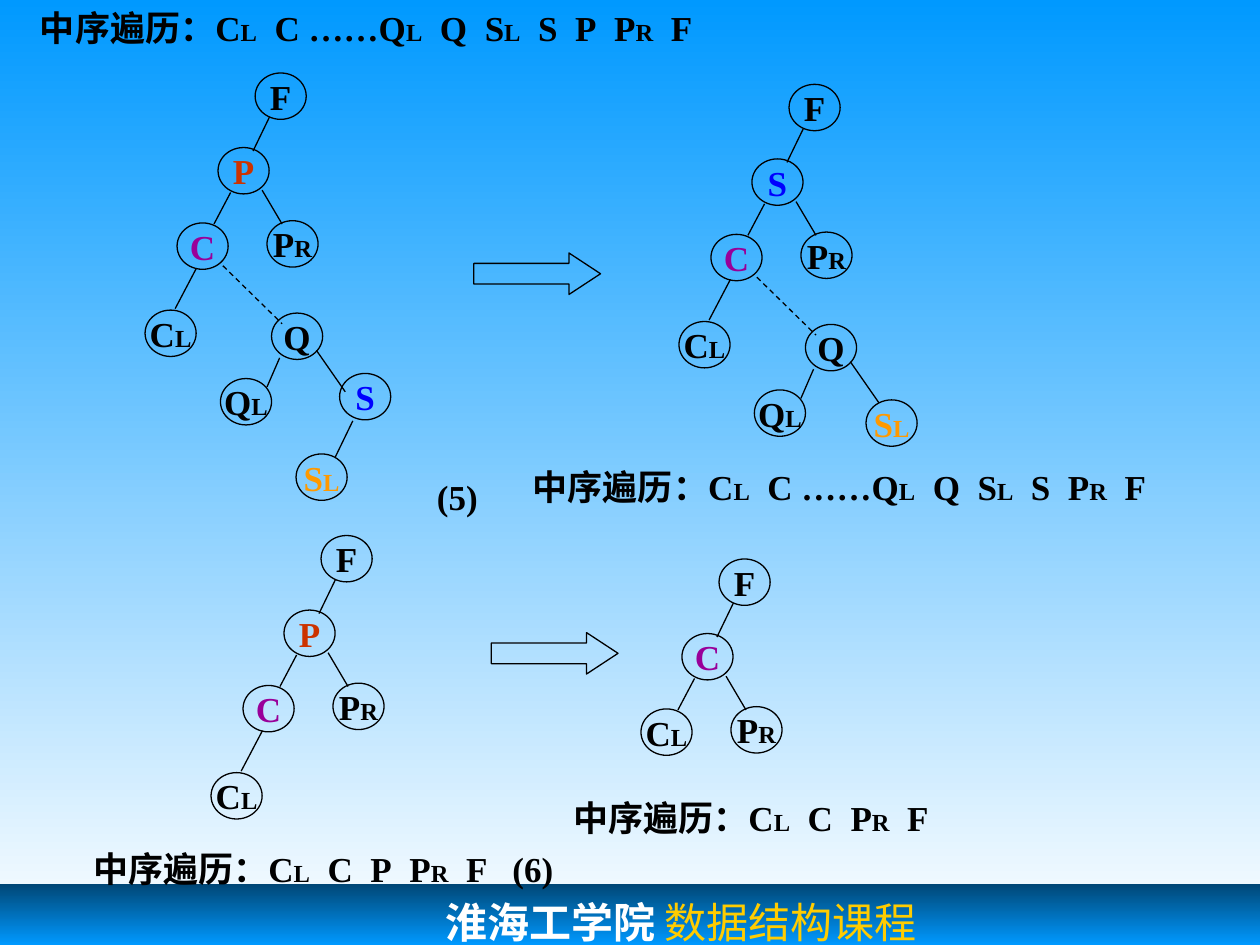
from copy import deepcopy
from pptx import Presentation
from pptx.dml.color import RGBColor as RGB
from pptx.enum.dml import MSO_LINE as Dash
from pptx.enum.shapes import MSO_CONNECTOR as Link, MSO_SHAPE as Kind
from pptx.enum.text import MSO_ANCHOR as Anchor, MSO_AUTO_SIZE as Auto, PP_ALIGN as Align
from pptx.oxml import parse_xml
from pptx.oxml.ns import nsdecls, qn
from pptx.util import Pt

THEME = {
    "font": "Times New Roman", "mono": "DejaVu Sans Mono",
    "big": 20, "small": 14, "foot": 24, "line": 0.75, "gap": 5,
    "ink": "000000", "sky": "0099FF", "deep": "004776",
    "white": "FFFFFF", "gold": "FFCC00",
}
TINTS = {"P": "CC3300", "C": "990099", "S": "0000FF", "SL": "FF9900"}

# Node places and edge ends, measured from the top left of each root
NODE = (29.2, 26.5)
SLOTS = {
    "root": (0, 0), "mid": (-21.2, 42.6), "left": (-44.6, 85.7),
    "right": (6.8, 84.4), "leaf": (-62.9, 135.5), "low": (9.4, 137.2),
    "kid": (-19.8, 174.6), "far": (48.3, 171.7), "tip": (23.4, 217.7),
    "end": (44, 180.3),
}
EDGES = {
    ("root", "mid"): (8.2, 25.2, -1.2, 44.6),
    ("mid", "left"): (-14, 68.3, -23.5, 86.3),
    ("left", "leaf"): (-33.5, 111.5, -45.7, 134.7),
    ("mid", "right"): (4, 67, 15.4, 86.3),
    ("low", "kid"): (14, 162.8, 6.8, 179.4),
    ("low", "far"): (35, 158.5, 51.5, 182.2),
    ("low", "end"): (35, 158.5, 51.5, 182.2),
    ("far", "tip"): (55.8, 198.8, 45.7, 219.7),
    ("left", "low"): (-18.4, 110.2, 15.4, 143.3),
}
BROKEN = ("left", "low")

TREES = [
    ((145.8, 41.7), {"root": "F", "mid": "P", "left": "C", "right": "PR",
                     "leaf": "CL", "low": "Q", "kid": "QL", "far": "S",
                     "tip": "SL"}),
    ((450.9, 48.2), {"root": "F", "mid": "S", "left": "C", "right": "PR",
                     "leaf": "CL", "low": "Q", "kid": "QL", "end": "SL"}),
    ((183.5, 306), {"root": "F", "mid": "P", "left": "C", "right": "PR",
                    "leaf": "CL"}),
    ((410.9, 319.4), {"root": "F", "mid": "C", "left": "CL", "right": "PR"}),
]

# Traversal orders: left, top, width, keys
HEAD = "中序遍历："
ORDERS = [
    (15.8, 0, 391.7, ["CL", "C ……QL", "Q", "SL", "S", "P", "PR", "F"]),
    (297.4, 262.1, 369.4, ["CL", "C ……QL", "Q", "SL", "S", "PR", "F"]),
    (46.1, 480.2, 244.8, ["CL", "C", "P", "PR", "F"]),
    (320.4, 451.4, 222.5, ["CL", "C", "PR", "F"]),
]
CASES = [("(5)", 241.3, 267.8), ("(6)", 284.5, 480.2)]
ARROWS = [(270.8, 144.6), (280.8, 361.5)]
FOOT = [("淮海工学院", "white", "mono", True),
        (" 数据结构课程", "gold", "font", False)]


def add_run(para, text, size, color, font=THEME["font"], bold=True):
    run = para.add_run()
    run.text = text
    run.font.size, run.font.name, run.font.bold = Pt(size), font, bold
    run.font.color.rgb = RGB.from_string(color)
    return run


def add_key(para, key, color):
    """Write a key; a trailing L or R becomes a small mark."""
    cut = len(key) - 1 if len(key) > 1 and key[-1] in "LR" else len(key)
    add_run(para, key[:cut], THEME["big"], color)
    if key[cut:]:
        add_run(para, key[cut:], THEME["small"], color)


def add_form(slide, kind, *box):
    form = slide.shapes.add_shape(kind, *map(Pt, box))
    form.shadow.inherit = False
    form.fill.background()
    form.line.color.rgb = RGB.from_string(THEME["ink"])
    form.line.width = Pt(THEME["line"])
    return form


def add_node(slide, x, y, key):
    frame = add_form(slide, Kind.OVAL, x, y, *NODE).text_frame
    frame.word_wrap, frame.vertical_anchor = False, Anchor.MIDDLE
    para = frame.paragraphs[0]
    para.alignment = Align.CENTER
    add_key(para, key, TINTS.get(key, THEME["ink"]))


def add_edge(slide, x, y, ends, broken):
    x1, y1, x2, y2 = ends
    edge = slide.shapes.add_connector(
        Link.STRAIGHT, Pt(x + x1), Pt(y + y1), Pt(x + x2), Pt(y + y2))
    edge.line.color.rgb = RGB.from_string(THEME["ink"])
    edge.line.width = Pt(THEME["line"])
    if broken:
        edge.line.dash_style = Dash.DASH
    edge._element.spPr.append(parse_xml(f"<a:effectLst {nsdecls('a')}/>"))


def add_label(slide, x, y, width, align=Align.LEFT):
    frame = slide.shapes.add_textbox(Pt(x), Pt(y), Pt(width), Pt(31.7)).text_frame
    frame.word_wrap, frame.vertical_anchor = False, Anchor.MIDDLE
    frame.auto_size = Auto.SHAPE_TO_FIT_TEXT
    frame.paragraphs[0].alignment = align
    return frame.paragraphs[0]


def set_stops(fill, *colors):
    for stop, color in zip(fill.gradient_stops, colors):
        stop.color.rgb = RGB.from_string(color)
    fill.gradient_angle = 270


def add_foot(slide):
    band = add_form(slide, Kind.RECTANGLE, 0, 505.2, 720, 69.8)
    band.line.fill.background()
    band.fill.gradient()
    stops = band._element.spPr.find(".//" + qn("a:gsLst"))
    stops.insert(1, deepcopy(stops[0]))
    for stop, place in zip(band.fill.gradient_stops, (0, 0.5, 1)):
        stop.position = place
    set_stops(band.fill, THEME["deep"], THEME["sky"], THEME["deep"])
    frame = band.text_frame
    frame.vertical_anchor = Anchor.TOP
    frame.margin_left, frame.margin_top = Pt(254.5), Pt(7.4)
    para = frame.paragraphs[0]
    para.alignment = Align.LEFT
    for text, color, font, bold in FOOT:
        add_run(para, text, THEME["foot"], THEME[color], THEME[font], bold)


def main():
    deck = Presentation()
    deck.slide_width, deck.slide_height = Pt(720), Pt(540)
    slide = deck.slides.add_slide(deck.slide_layouts[6])

    # Background and footer band
    fill = slide.background.fill
    fill.gradient()
    set_stops(fill, THEME["sky"], THEME["white"])
    add_foot(slide)

    # Arrows from before to after
    for x, y in ARROWS:
        arrow = add_form(slide, Kind.RIGHT_ARROW, x, y, 72.4, 23.7)
        arrow.adjustments[1] = 0.76

    # Trees
    for (x, y), keys in TREES:
        for slot, key in keys.items():
            dx, dy = SLOTS[slot]
            add_node(slide, x + dx, y + dy, key)
        for pair, ends in EDGES.items():
            if all(slot in keys for slot in pair):
                add_edge(slide, x, y, ends, pair == BROKEN)

    # Traversal orders, with widened spaces between keys
    for x, y, width, keys in ORDERS:
        para = add_label(slide, x, y, width)
        add_run(para, HEAD, THEME["big"], THEME["ink"])
        for i, key in enumerate(keys):
            if i:
                gap = add_run(para, " ", THEME["big"], THEME["ink"])
                gap.font._element.set("spc", str(THEME["gap"] * 100))
            add_key(para, key, THEME["ink"])

    # Case numbers, in boxes wide enough for one line
    for text, x, y in CASES:
        para = add_label(slide, x, y, 40, Align.CENTER)
        add_run(para, text, THEME["big"], THEME["ink"])

    deck.save("out.pptx")


if __name__ == "__main__":
    main()
